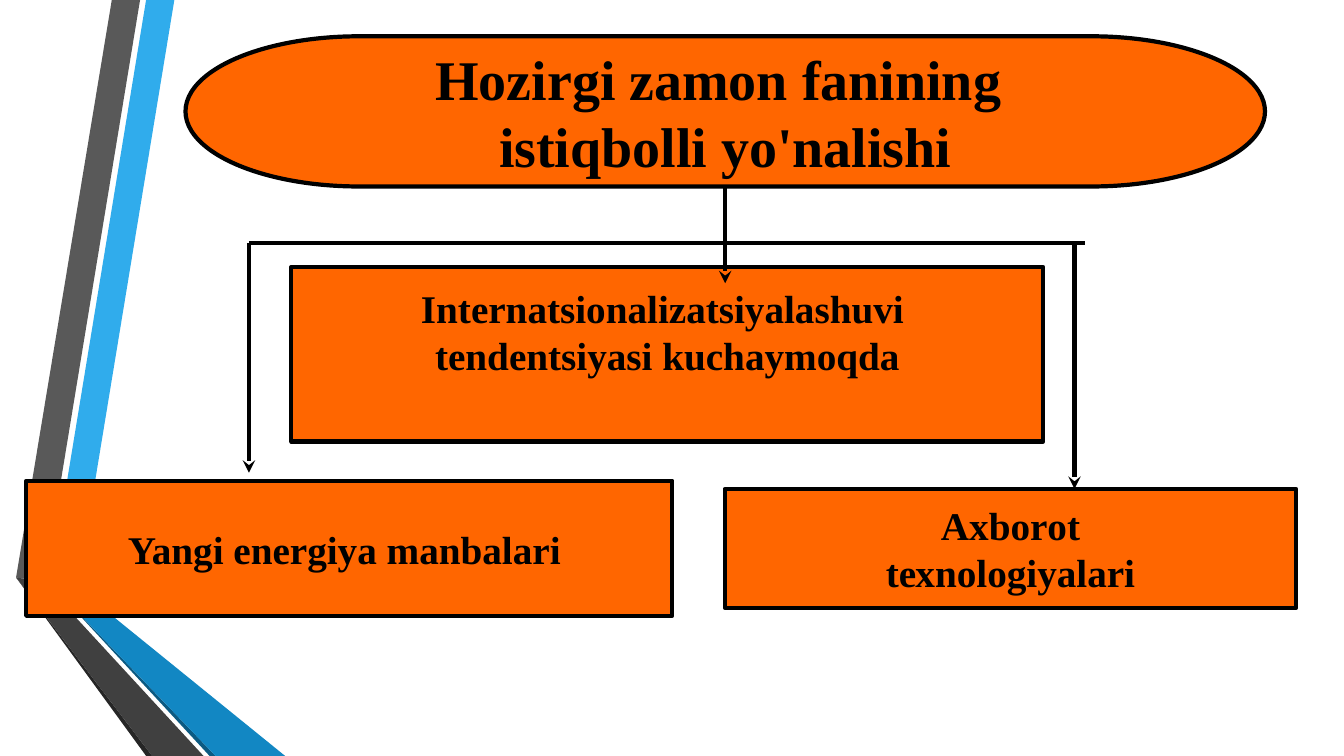
from dataclasses import dataclass

from lxml.etree import SubElement
from pptx import Presentation
from pptx.dml.color import RGBColor
from pptx.enum.shapes import MSO_CONNECTOR as Link, MSO_SHAPE as Preset
from pptx.enum.text import MSO_ANCHOR as Anchor, PP_ALIGN as Align
from pptx.oxml.ns import qn
from pptx.util import Emu, Inches, Pt

COLUMNS, ROWS = 160, 90
CELL = Inches(7.5) // ROWS


@dataclass(frozen=True)
class Theme:
    font: str = "Times New Roman"
    title_size: int = 40
    label_size: int = 28
    stroke: int = 3
    panel: str = "FF6600"
    ink: str = "000000"
    sky: str = "30ACEC"
    blue: str = "1287C3"
    navy: str = "0C5A82"
    grey: str = "595959"
    charcoal: str = "404040"
    shade: str = "262626"


THEME = Theme()

RIBBONS = [
    (THEME.sky, [(6, 69.36), (9.24, 69.96), (20.76, 0), (17.4, 0)]),
    (THEME.grey, [(16.68, 0), (13.32, 0), (1.92, 68.76), (5.28, 69.24)]),
    (THEME.shade, [(1.92, 68.76), (17.4, 90), (18.12, 90)]),
    (THEME.navy, [(6, 69.48), (24.96, 90), (25.68, 90)]),
    (THEME.blue, [(6, 69.48), (25.68, 90), (33.96, 90), (9.24, 69.96), (6, 69.36)]),
    (THEME.charcoal, [(24.24, 90), (5.76, 69.96), (5.16, 69.36), (5.28, 69.24),
                      (1.92, 68.76), (18.12, 90)]),
]


def grid(*cells):
    return [Emu(round(cell * CELL)) for cell in cells]


def assign(target, values):
    for name, value in values.items():
        setattr(target, name, value)


def paint(shape, color):
    shape.shadow.inherit = False
    shape.fill.solid()
    shape.fill.fore_color.rgb = RGBColor.from_string(color)


def outline(line):
    line.color.rgb = RGBColor.from_string(THEME.ink)
    line.width = Pt(THEME.stroke)


def add_ribbon(page, color, corners):
    start, *rest = [grid(*corner) for corner in corners]
    builder = page.shapes.build_freeform(*start)
    builder.add_line_segments(rest)
    ribbon = builder.convert_to_shape()
    paint(ribbon, color)
    ribbon.line.fill.background()


def add_panel(page, area, lines, size=THEME.label_size, preset=Preset.RECTANGLE, bottom=0.05):
    box = page.shapes.add_shape(preset, *grid(*area))
    paint(box, THEME.panel)
    outline(box.line)
    frame = box.text_frame
    assign(frame, {"word_wrap": False, "vertical_anchor": Anchor.MIDDLE,
                   "margin_bottom": Inches(bottom)})
    for index, text in enumerate(lines):
        para = frame.add_paragraph() if index else frame.paragraphs[0]
        para.alignment = Align.CENTER
        span = para.add_run()
        span.text = text
        assign(span.font, {"name": THEME.font, "size": Pt(size), "bold": True})
        span.font.color.rgb = RGBColor.from_string(THEME.ink)
    return box


def add_line(page, start, end, arrow=True):
    line = page.shapes.add_connector(Link.STRAIGHT, *grid(*start, *end))
    outline(line.line)
    if arrow:
        SubElement(line.line._get_or_add_ln(), qn("a:tailEnd"), type="stealth")
    SubElement(line._element.spPr, qn("a:effectLst"))
    return line


def main():
    deck = Presentation()
    assign(deck, {"slide_width": CELL * COLUMNS, "slide_height": CELL * ROWS})
    page = deck.slides.add_slide(deck.slide_layouts[6])
    for color, corners in RIBBONS:
        add_ribbon(page, color, corners)

    title = add_panel(page, (22.08, 4.32, 128.52, 17.88),
                      ["Hоzirgi zаmоn fаnining ", "istiqbоlli yo'nаlishi"],
                      THEME.title_size, Preset.FLOWCHART_TERMINATOR)
    add_panel(page, (3.12, 57.24, 76.92, 16.08), ["Yangi enеrgiya mаnbаlаri "])
    add_panel(page, (34.68, 31.8, 89.52, 20.76),
              ["Intеrnаtsiоnаlizаtsiyalаshuvi ", "tеndеntsiyasi kuchаymоqdа"], bottom=0.5)
    add_panel(page, (86.28, 58.2, 68.04, 14.16), ["Ахbоrоt", " tехnоlоgiyalаri "])

    rail, left, middle, right = 28.92, 29.64, 86.34, 127.92
    trunk = add_line(page, (middle, 22.2), (middle, 33.72))
    trunk.begin_connect(title, 2)
    add_line(page, (left, rail), (129.12, rail), arrow=False)
    for column, foot in [(left, 56.28), (right, 58.2)]:
        add_line(page, (column, rail), (column, foot))
    deck.save("out.pptx")


if __name__ == "__main__":
    main()
